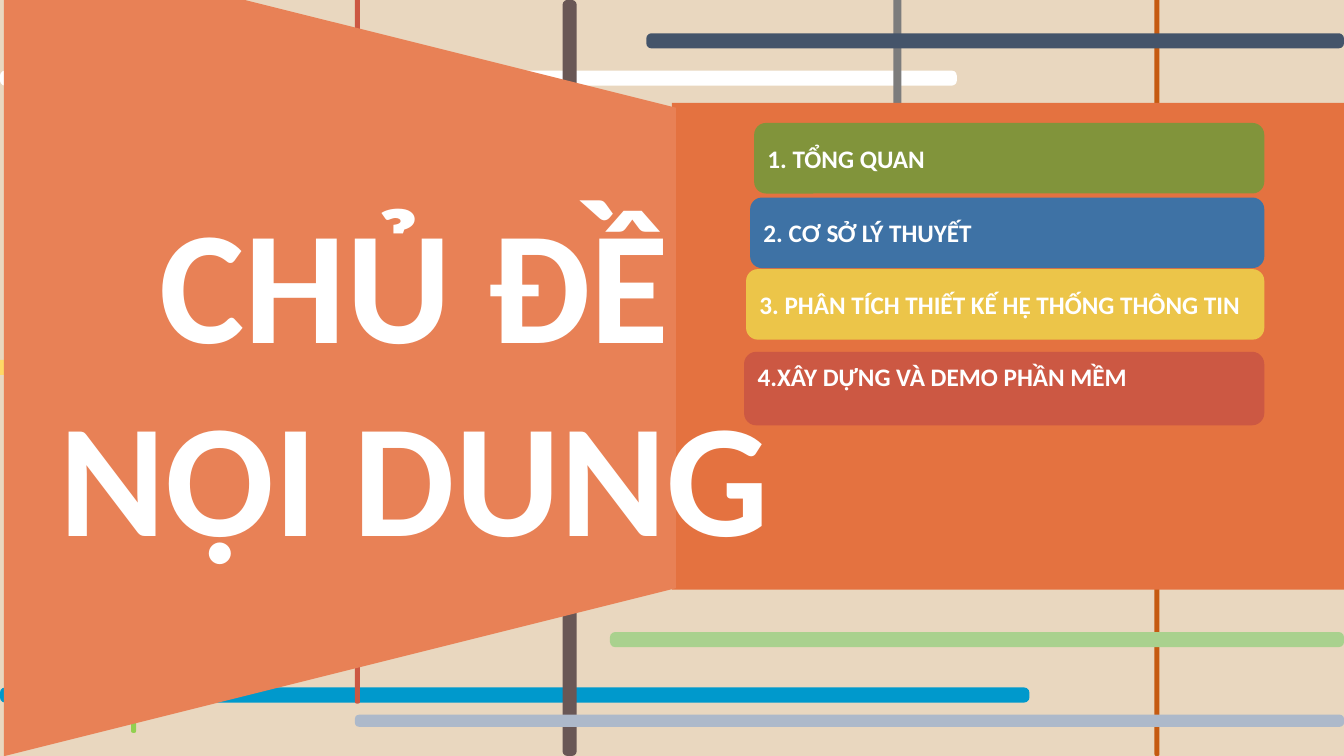
from pptx import Presentation
from pptx.dml.color import RGBColor
from pptx.enum.shapes import MSO_SHAPE
from pptx.enum.text import MSO_ANCHOR, PP_ALIGN
from pptx.util import Inches, Pt

RECT, ROUND, TRAP = MSO_SHAPE.RECTANGLE, MSO_SHAPE.ROUNDED_RECTANGLE, MSO_SHAPE.TRAPEZOID
TOP, MIDDLE = MSO_ANCHOR.TOP, MSO_ANCHOR.MIDDLE
LEFT, CENTER = PP_ALIGN.LEFT, PP_ALIGN.CENTER
WIDE, HIGH = 13.33, 7.5

BARS = [
    (1.3, 0.19, 0.05, 7.08, "92D050"),
    (0, 0.7, 9.49, 0.15, "FFFFFF"),
    (11.45, -0.04, 0.05, 7.54, "C55A11"),
    (0, 6.82, 10.21, 0.15, "0099CC"),
    (5.58, 0, 0.14, 7.5, "695755"),
    (3.52, -0.1, 0.05, 7.08, "CC5843"),
    (-0.05, 3.57, 7.28, 0.15, "FFD966"),
    (6.05, 6.27, 7.28, 0.15, "A9D18E"),
    (8.86, -0.1, 0.08, 4.61, "7C7C7C"),
    (6.41, 0.33, 6.92, 0.15, "44546A"),
    (3.52, 7.09, 9.81, 0.12, "ADB9CA"),
]
TOPICS = [
    ("1. TỔNG QUAN", 0.1, 0, 0.7, "81943B", MIDDLE),
    ("2. CƠ SỞ LÝ THUYẾT", 0.06, 0.74, 0.7, "3E72A5", MIDDLE),
    ("3. PHÂN TÍCH THIẾT KẾ HỆ THỐNG THÔNG TIN", 0.02, 1.45, 0.7, "ECC549", MIDDLE),
    ("4.XÂY DỰNG VÀ DEMO PHẦN MỀM", 0, 2.27, 0.73, "CC5843", TOP),
]


def color(code):
    """Turn a hex string into a colour."""
    return RGBColor.from_string(code)


def block(slide, kind, box, fill, adj=None):
    """Add a flat filled shape without an outline."""
    shape = slide.shapes.add_shape(kind, *map(Inches, box))
    shape.shadow.inherit = False
    shape.fill.solid()
    shape.fill.fore_color.rgb = color(fill)
    shape.line.fill.background()
    if adj is not None:
        shape.adjustments[0] = adj
    return shape


def write(frame, text, size, align, anchor):
    """Put bold white text into a frame."""
    frame.word_wrap = True
    frame.vertical_anchor = anchor
    para = frame.paragraphs[0]
    para.text = text
    para.alignment = align
    font = para.font
    font.name, font.size, font.bold = "Calibri", Pt(size), True
    font.color.rgb = color("FFFFFF")


def backdrop(slide, x, y, w, h):
    """Lay the sand ground and its crossing bars."""
    block(slide, RECT, (x, y - 0.04, w, h + 0.04), "E9D7BF")
    for left, top, wide, high, fill in BARS:
        block(slide, ROUND, (x + left, y + top, wide, high), fill, 0.339)


def banner(slide, x, y, w, h):
    """Draw the folded orange banner with its title."""
    half = w / 2
    block(slide, RECT, (x + half, y + 1.02, half, 4.83), "E47240")
    fold = block(slide, TRAP, (x - 0.68, y + 0.12, h + 0.6, half), "E88156", 0.25)
    fold.rotation = 90
    title = slide.shapes.add_textbox(*map(Inches, (x + 0.4, y + 1.76, 7.42, 3.97)))
    write(title.text_frame, "CHỦ ĐỀ NỘI DUNG", 115, CENTER, TOP)


def agenda(slide, x, y, w):
    """Stack the topic labels, flush at the right edge."""
    for text, inset, drop, high, fill, anchor in TOPICS:
        label = block(slide, ROUND, (x + inset, y + drop, w - inset, high), fill)
        write(label.text_frame, text, 18, LEFT, anchor)
        if anchor == TOP:
            label.text_frame.margin_top = Inches(0.06)


def main():
    """Build and save the slide."""
    deck = Presentation()
    deck.slide_width, deck.slide_height = Inches(WIDE), Inches(HIGH)
    slide = deck.slides.add_slide(deck.slide_layouts[6])
    backdrop(slide, 0, 0, WIDE, HIGH)
    banner(slide, 0, 0, WIDE, HIGH)
    agenda(slide, 7.38, 1.22, 5.16)
    deck.save("out.pptx")


if __name__ == "__main__":
    main()
